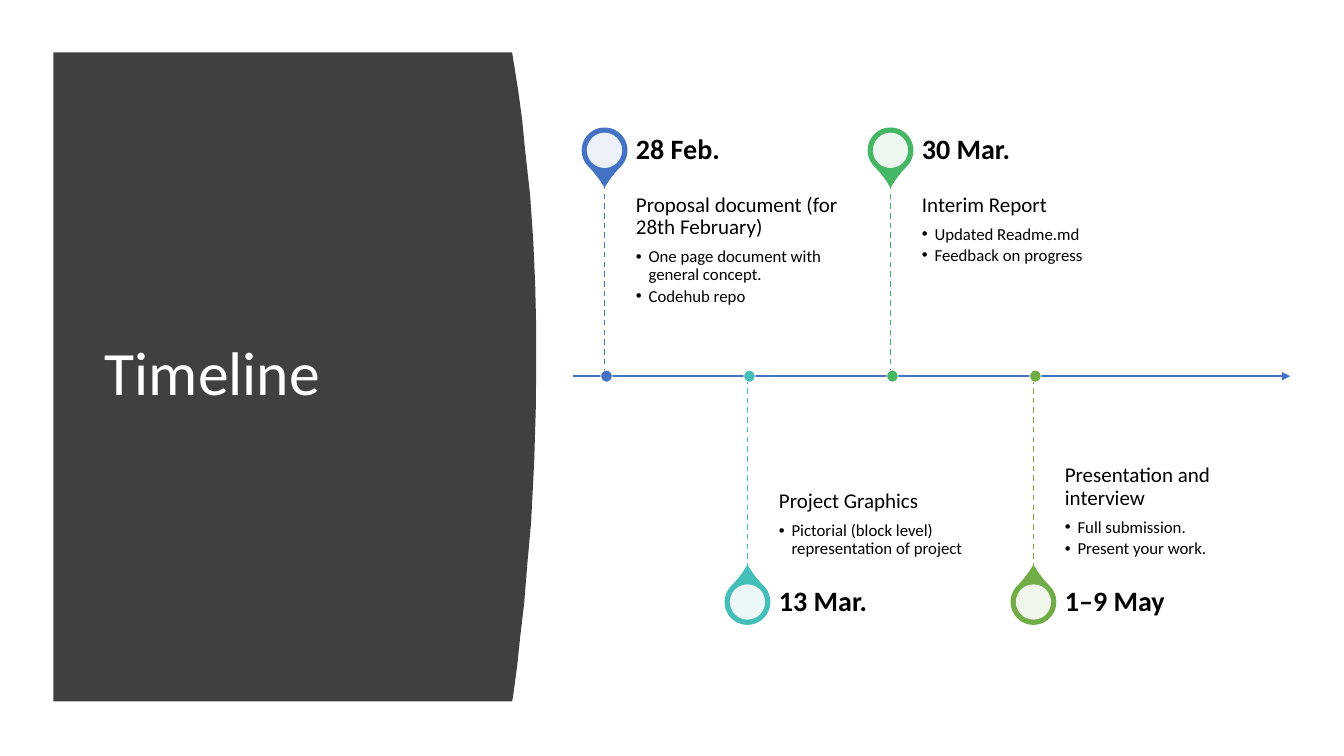
from lxml.etree import SubElement
from pptx import Presentation
from pptx.dml.color import RGBColor
from pptx.enum.dml import MSO_LINE
from pptx.enum.shapes import MSO_CONNECTOR, MSO_SHAPE
from pptx.enum.text import MSO_ANCHOR as ANCHOR, MSO_AUTO_SIZE, PP_ALIGN
from pptx.oxml.ns import qn
from pptx.util import Pt

WHITE = RGBColor(0xFF, 0xFF, 0xFF)
BLACK = RGBColor(0, 0, 0)
CHARCOAL = RGBColor(0x40, 0x40, 0x40)
BLUE = RGBColor(0x44, 0x72, 0xC4)
TEAL = RGBColor(0x43, 0xBE, 0xB9)
GREEN = RGBColor(0x45, 0xB6, 0x64)
OLIVE = RGBColor(0x70, 0xAD, 0x47)
FONT = "Calibri"

TITLE = "Timeline"
MILESTONES = [
    ("28 Feb.", "Proposal document (for 28th February)",
     ["One page document with general concept.", "Codehub repo"], BLUE),
    ("13 Mar.", "Project Graphics",
     ["Pictorial (block level) representation of project"], TEAL),
    ("30 Mar.", "Interim Report",
     ["Updated Readme.md", "Feedback on progress"], GREEN),
    ("1–9 May", "Presentation and interview",
     ["Full submission.", "Present your work."], OLIVE),
]
PANEL = [
    (38.2, 37.4), (365.8, 37.4), (370.1, 64.1), (373, 85.7), (375.1, 107.3),
    (378.7, 139.7), (380.9, 171.4), (382.3, 203), (383, 234), (383, 264.2),
    (382.7, 293), (381.6, 329.8), (379.4, 373), (376.6, 403.9),
    (374.4, 431.3), (371.5, 455.8), (369.4, 475.9), (366.5, 497.5),
    (365.8, 501.1), (38.2, 501.1),
]

AXIS_Y, AXIS_LEFT, AXIS_RIGHT = 268.7, 409, 921.6
FIRST_X, STEP = 431.8, 102.13
PIN, HOLE, DOT_W, DOT_H = 31.7, 25.2, 8.2, 8.6
TEXT_W, BODY_H, DATE_H = 160.6, 137.4, 48.2
PIN_OFFSET = 161.3


def add_run(p, text, size, color=BLACK, bold=False):
    r = p.add_run()
    r.text = text
    r.font.name, r.font.size, r.font.bold = FONT, Pt(size), bold
    r.font.color.rgb = color


def add_text(s, box, paragraphs, anchor=ANCHOR.TOP, insets=(0, 0, 0, 0)):
    tf = s.shapes.add_textbox(*map(Pt, box)).text_frame
    tf.word_wrap = True
    tf.vertical_anchor = anchor
    tf.margin_left, tf.margin_top, tf.margin_right, tf.margin_bottom = map(Pt, insets)
    for i, (text, size, bold, after, bullet) in enumerate(paragraphs):
        p = tf.add_paragraph() if i else tf.paragraphs[0]
        p.line_spacing = 0.9
        p.space_after = Pt(after)
        if bullet:
            pPr = p._p.get_or_add_pPr()
            pPr.set("marL", str(Pt(9)))
            pPr.set("indent", str(Pt(-9)))
            p.level = 1
            SubElement(pPr, qn("a:buFont")).set("typeface", "Arial")
            SubElement(pPr, qn("a:buChar")).set("char", "•")
        add_run(p, text, size, bold=bold)


def add_centred(s, kind, x, y, w, h, fill, line=None, width=1):
    sp = s.shapes.add_shape(kind, Pt(x - w / 2), Pt(y - h / 2), Pt(w), Pt(h))
    sp.shadow.inherit = False
    sp.fill.solid()
    sp.fill.fore_color.rgb = fill
    if line is None:
        sp.line.fill.background()
    else:
        sp.line.color.rgb = line
        sp.line.width = Pt(width)
    return sp


def add_line(s, x1, y1, x2, y2, color, width):
    line = s.shapes.add_connector(MSO_CONNECTOR.STRAIGHT, Pt(x1), Pt(y1), Pt(x2), Pt(y2))
    line.line.color.rgb = color
    line.line.width = Pt(width)
    SubElement(line._element.spPr, qn("a:effectLst"))
    return line


def add_panel(s):
    start, *rest = [(Pt(x), Pt(y)) for x, y in PANEL]
    builder = s.shapes.build_freeform(*start)
    builder.add_line_segments(rest, close=True)
    sp = builder.convert_to_shape()
    sp.shadow.inherit = False
    sp.fill.solid()
    sp.fill.fore_color.rgb = CHARCOAL
    sp.line.fill.background()


def add_title(s):
    title = s.shapes.title
    title.left, title.top, title.width, title.height = Pt(67.7), Pt(79.9), Pt(269.3), Pt(377.3)
    s.shapes._spTree.append(title._element)
    tf = title.text_frame
    tf.word_wrap = True
    tf.auto_size = MSO_AUTO_SIZE.NONE
    tf.vertical_anchor = ANCHOR.MIDDLE
    p = tf.paragraphs[0]
    p.alignment = PP_ALIGN.LEFT
    p.line_spacing = 0.9
    add_run(p, TITLE, 44, WHITE)


def add_milestone(s, index, date, heading, bullets, color):
    above = index % 2 == 0
    side = -1 if above else 1
    x = FIRST_X + index * STEP
    text_x = x + 22.5
    pin_y = AXIS_Y + side * PIN_OFFSET

    pin = add_centred(s, MSO_SHAPE.TEAR, x, pin_y, PIN, PIN, color, color)
    pin.adjustments[0] = 1.15
    pin.rotation = 135 if above else 315
    hole = add_centred(s, MSO_SHAPE.OVAL, x, pin_y, HOLE, HOLE, WHITE)
    white = hole._element.spPr.find(qn("a:solidFill"))[0]
    SubElement(white, qn("a:alpha")).set("val", "90000")

    body = [(heading, 15, False, 6.4, False)]
    body += [(text, 12, False, 2.2, True) for text in bullets]
    body_y = AXIS_Y - BODY_H if above else AXIS_Y
    date_y = body_y - DATE_H if above else body_y + BODY_H
    add_text(s, (text_x, body_y, TEXT_W, BODY_H), body,
             anchor=ANCHOR.TOP if above else ANCHOR.BOTTOM,
             insets=(0, 7.2, 7.2, 11.5) if above else (0, 11.5, 0, 7.2))
    add_text(s, (text_x, date_y, TEXT_W, DATE_H), [(date, 20, True, 0, False)],
             anchor=ANCHOR.MIDDLE, insets=(0, 0, 10, 0))

    stem = add_line(s, x, AXIS_Y + side * BODY_H, x, AXIS_Y, color, 1)
    stem.line.dash_style = MSO_LINE.DASH
    add_centred(s, MSO_SHAPE.OVAL, x + 1.4, AXIS_Y, DOT_W, DOT_H, color, WHITE, 0.5)


def main():
    prs = Presentation()
    prs.slide_width, prs.slide_height = Pt(960), Pt(540)
    s = prs.slides.add_slide(prs.slide_layouts[5])
    add_panel(s)
    add_title(s)
    axis = add_line(s, AXIS_LEFT, AXIS_Y, AXIS_RIGHT, AXIS_Y, BLUE, 1.5)
    SubElement(axis.line._get_or_add_ln(), qn("a:tailEnd")).set("type", "triangle")
    for index, milestone in enumerate(MILESTONES):
        add_milestone(s, index, *milestone)
    prs.save("out.pptx")


if __name__ == "__main__":
    main()
